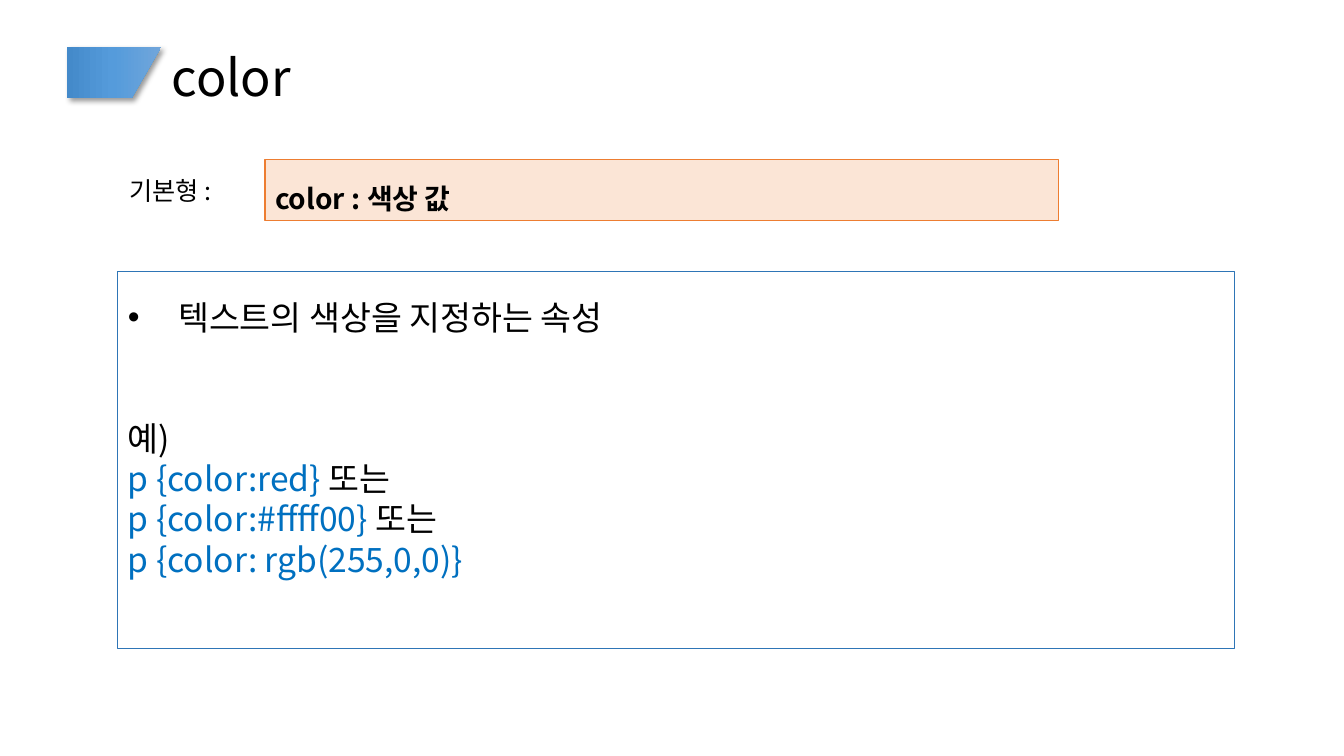
from dataclasses import dataclass

from lxml.etree import SubElement
from pptx import Presentation
from pptx.dml.color import RGBColor
from pptx.enum.shapes import MSO_SHAPE
from pptx.enum.text import MSO_ANCHOR, PP_ALIGN
from pptx.oxml import parse_xml
from pptx.oxml.ns import nsdecls, qn
from pptx.util import Pt


@dataclass(frozen=True)
class Theme:
    font: str = "Noto Sans CJK KR"
    ink: str = "000000"
    code: str = "0070C0"
    frame: str = "2E75B6"
    syntax_fill: str = "FBE5D6"
    syntax_line: str = "ED7D31"
    badge: tuple = ("448ACA", "559BDB", "71A6DB")
    title_size: int = 36
    body_size: int = 24
    syntax_size: int = 20
    label_size: int = 18


THEME = Theme()


def rgb(value):
    return RGBColor.from_string(value)


def write(para, spans, size, bold=False, spacing=None):
    para.alignment = PP_ALIGN.LEFT
    if spacing:
        para.line_spacing = spacing
    para.font.name = THEME.font
    para.font.size = Pt(size)
    para.font.bold = bold
    if len(spans) == 1:
        para.font.color.rgb = rgb(spans[0][1])
    for text, color in spans:
        span = para.add_run()
        span.text = text
        if len(spans) > 1:
            span.font.color.rgb = rgb(color)


def add_bullet(para, indent):
    properties = para._p.get_or_add_pPr()
    properties.set("marL", str(Pt(indent)))
    properties.set("indent", str(-Pt(indent)))
    SubElement(properties, qn("a:buFont")).set("typeface", "Arial")
    SubElement(properties, qn("a:buChar")).set("char", "•")


def add_panel(page, box, line, width, fill=None):
    panel = page.shapes.add_shape(MSO_SHAPE.RECTANGLE, *map(Pt, box))
    panel.shadow.inherit = False
    if fill:
        panel.fill.solid()
        panel.fill.fore_color.rgb = rgb(fill)
    else:
        panel.fill.background()
    panel.line.color.rgb = rgb(line)
    panel.line.width = Pt(width)
    panel.text_frame.word_wrap = True
    panel.text_frame.vertical_anchor = MSO_ANCHOR.TOP
    return panel.text_frame


def add_badge(page, box):
    left, top, width, height = box
    slant = 21
    outline = page.shapes.build_freeform(Pt(left), Pt(top))
    outline.add_line_segments([
        (Pt(left + width), Pt(top)),
        (Pt(left + width - slant), Pt(top + height)),
        (Pt(left), Pt(top + height)),
    ])
    badge = outline.convert_to_shape()
    badge.shadow.inherit = False
    badge.line.fill.background()
    stops = "".join(
        f'<a:gs pos="{index * 50000}"><a:srgbClr val="{color}"/></a:gs>'
        for index, color in enumerate(THEME.badge)
    )
    gradient = parse_xml(
        f'<a:gradFill {nsdecls("a")} rotWithShape="1"><a:gsLst>{stops}</a:gsLst>'
        '<a:lin ang="0" scaled="0"/></a:gradFill>'
    )
    properties = badge._element.spPr
    properties.find(qn("a:custGeom")).addnext(gradient)
    shadow = parse_xml(
        f'<a:outerShdw {nsdecls("a")} blurRad="{Pt(4)}" dist="{Pt(3)}" dir="2700000">'
        '<a:srgbClr val="000000"><a:alpha val="40000"/></a:srgbClr></a:outerShdw>'
    )
    properties.find(qn("a:effectLst")).append(shadow)


def add_title(page, box, text):
    title = page.shapes.title
    title.left, title.top, title.width, title.height = map(Pt, box)
    frame = title.text_frame
    frame.margin_left = Pt(16)
    frame.vertical_anchor = MSO_ANCHOR.MIDDLE
    write(frame.paragraphs[0], [(text, THEME.ink)], THEME.title_size, spacing=0.9)


def add_syntax(page, box):
    left, top, width, height = box
    label_width = 104
    label = page.shapes.add_textbox(Pt(left), Pt(top + 8), Pt(label_width), Pt(29))
    label.text_frame.word_wrap = True
    write(label.text_frame.paragraphs[0], [("기본형 :", THEME.ink)], THEME.label_size)
    frame = add_panel(
        page, (left + label_width, top, width - label_width, height),
        THEME.syntax_line, 1, THEME.syntax_fill,
    )
    write(frame.paragraphs[0], [("color : 색상 값", THEME.ink)],
          THEME.syntax_size, bold=True, spacing=1.5)


def add_description(page, box):
    frame = add_panel(page, box, THEME.frame, 0.75)
    point = frame.paragraphs[0]
    add_bullet(point, 36)
    write(point, [("텍스트의 색상을 지정하는 속성", THEME.ink)], THEME.body_size, spacing=1.5)
    heading = frame.add_paragraph()
    heading.space_before = Pt(43.2)
    write(heading, [("예)", THEME.ink)], THEME.body_size, spacing=1.5)
    examples = [
        [("p {color:red} ", THEME.code), ("또는", THEME.ink)],
        [("p {color:#ffff00} ", THEME.code), ("또는", THEME.ink)],
        [("p {color: rgb(255,0,0)}", THEME.code)],
    ]
    for spans in examples:
        write(frame.add_paragraph(), spans, THEME.body_size)


def main():
    deck = Presentation()
    deck.slide_width, deck.slide_height = Pt(960), Pt(540)
    page = deck.slides.add_slide(deck.slide_layouts[5])
    add_badge(page, (47.7, 33.4, 67.5, 36.5))
    add_title(page, (106.6, 29.5, 752.4, 55.4), "color")
    add_description(page, (84.2, 194, 797.8, 269.3))
    add_syntax(page, (85.4, 113.8, 670.6, 43.9))
    deck.save("out.pptx")


if __name__ == "__main__":
    main()
